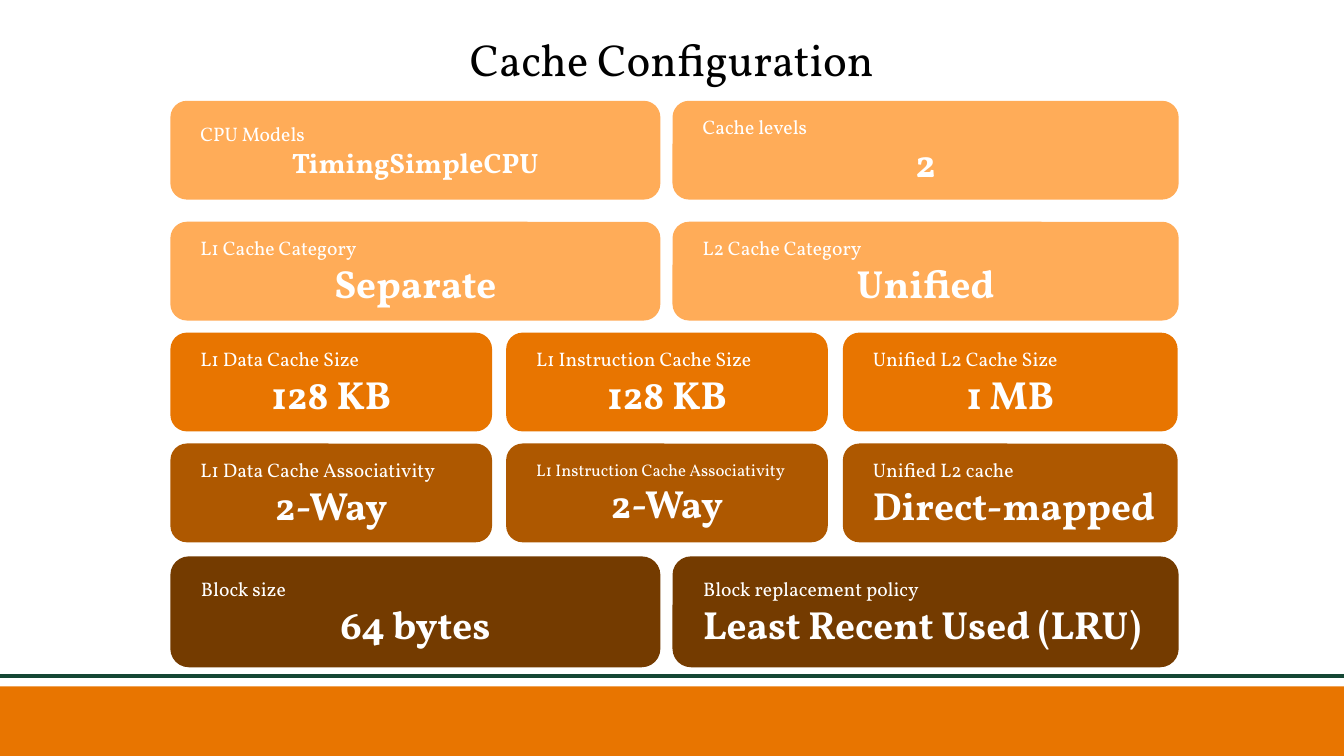
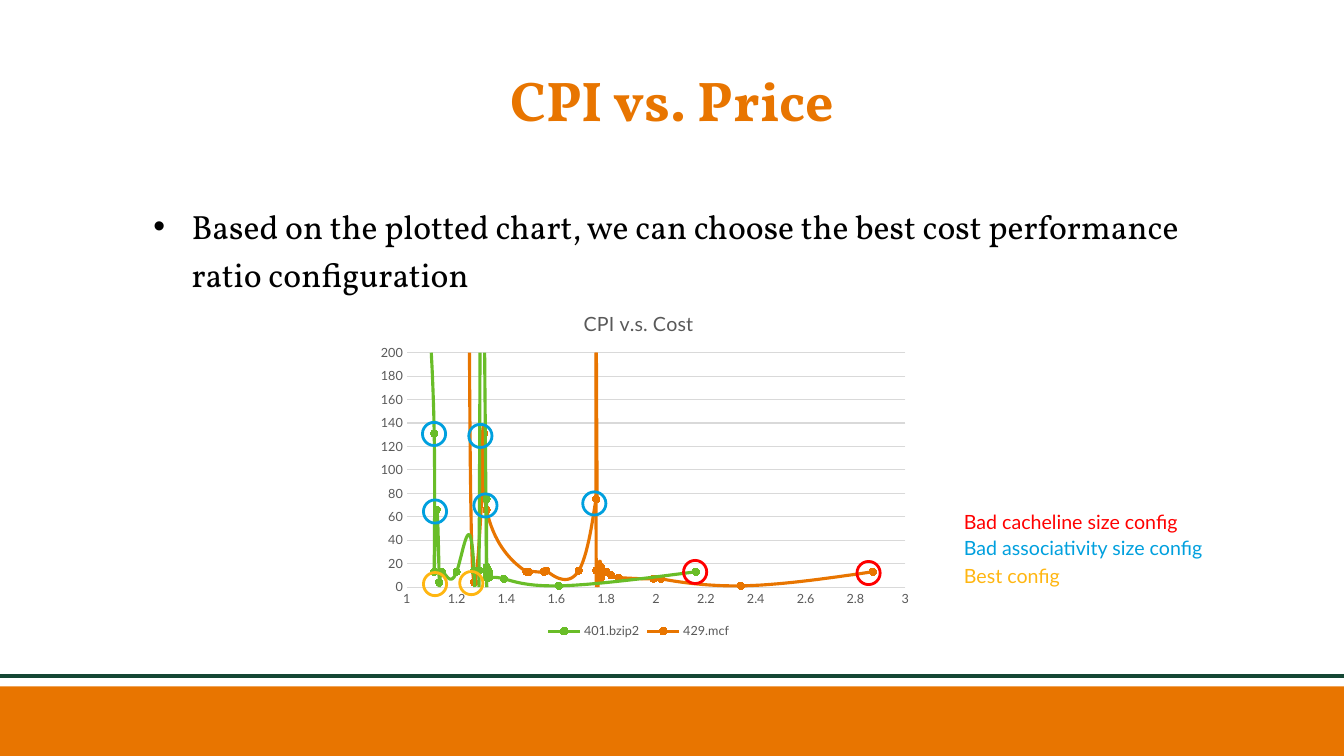
from pptx import Presentation
from pptx.chart.data import XyChartData
from pptx.dml.color import RGBColor
from pptx.enum.chart import XL_CHART_TYPE, XL_LEGEND_POSITION, XL_MARKER_STYLE, XL_TICK_MARK
from pptx.enum.shapes import MSO_CONNECTOR, MSO_SHAPE
from pptx.enum.text import MSO_ANCHOR, MSO_AUTO_SIZE, PP_ALIGN
from pptx.oxml import parse_xml
from pptx.oxml.ns import nsdecls
from pptx.util import Inches, Pt

LEFT, CENTER = PP_ALIGN.LEFT, PP_ALIGN.CENTER
TOP, MIDDLE = MSO_ANCHOR.TOP, MSO_ANCHOR.MIDDLE
NO_AUTOFIT = MSO_AUTO_SIZE.NONE
RECTANGLE, ROUNDED, OVAL = MSO_SHAPE.RECTANGLE, MSO_SHAPE.ROUNDED_RECTANGLE, MSO_SHAPE.OVAL
STRAIGHT = MSO_CONNECTOR.STRAIGHT
SMOOTH_SCATTER = XL_CHART_TYPE.XY_SCATTER_SMOOTH
LEGEND_BOTTOM = XL_LEGEND_POSITION.BOTTOM
CIRCLE_MARKER = XL_MARKER_STYLE.CIRCLE
NO_TICK = XL_TICK_MARK.NONE

BLACK = RGBColor(0x00, 0x00, 0x00)
WHITE = RGBColor(0xFF, 0xFF, 0xFF)
ORANGE = RGBColor(0xE8, 0x75, 0x00)
PEACH = RGBColor(0xFF, 0xAC, 0x58)
RUST = RGBColor(0xAE, 0x58, 0x00)
BROWN = RGBColor(0x74, 0x3B, 0x00)
DARK_GREEN = RGBColor(0x15, 0x47, 0x34)
LIME = RGBColor(0x69, 0xBD, 0x28)
RED = RGBColor(0xFF, 0x00, 0x00)
BLUE = RGBColor(0x00, 0xA0, 0xDE)
GOLD = RGBColor(0xFF, 0xB6, 0x11)
GRAY = RGBColor(0x59, 0x59, 0x59)
LIGHT_GRAY = RGBColor(0xD9, 0xD9, 0xD9)

SERIF, SANS = "Vollkorn", "Lato"

HALVES = [(1.69, 4.86), (6.67, 5.02)]
THIRDS = [(1.69, 3.19), (5.02, 3.19), (8.36, 3.32)]
CARD_ROWS = [
    (1, 0.98, PEACH, HALVES, [
        ("CPU Models", "TimingSimpleCPU", {"value_size": 20}),
        ("Cache levels", "2", {})]),
    (2.2, 0.98, PEACH, HALVES, [
        ("L1 Cache Category", "Separate", {}),
        ("L2 Cache Category", "Unified", {})]),
    (3.3, 0.98, ORANGE, THIRDS, [
        ("L1 Data Cache Size", "128 KB", {}),
        ("L1 Instruction Cache Size", "128 KB", {}),
        ("Unified L2 Cache Size", "1 MB", {})]),
    (4.4, 0.98, RUST, THIRDS, [
        ("L1 Data Cache Associativity", "2-Way", {}),
        ("L1 Instruction Cache Associativity", "2-Way", {"label_size": 12}),
        ("Unified L2 cache", "Direct-mapped", {})]),
    (5.52, 1.1, BROWN, HALVES, [
        ("Block size", "64 bytes", {}),
        ("Block replacement policy", "Least Recent Used (LRU)", {"align": LEFT})]),
]

BENCHMARKS = [
    ("401.bzip2", LIME,
     [1.08, 1.11, 1.11, 1.12, 1.13, 1.14, 1.2, 1.27, 1.29] + [1.31] * 3
     + [1.32] * 14 + [1.33] * 3 + [1.39, 1.39, 1.61, 2.16],
     [261, 131, 13, 66, 4, 13, 13, 14, 14, 996, 505, 259, 14, 13, 14, 15, 17, 75,
      13, 13, 13, 13, 13, 13, 10, 8, 13, 10, 8, 7, 7, 1, 13]),
    ("429.mcf", ORANGE,
     [1.25, 1.27, 1.31, 1.32, 1.48, 1.49, 1.55, 1.56, 1.69] + [1.76] * 5 + [1.77]
     + [1.78] * 11 + [1.8, 1.82, 1.85, 1.99, 2.02, 2.34, 2.87],
     [261, 4, 131, 66, 13, 13, 13, 14, 14, 75, 259, 996, 505, 14, 13, 14, 15, 17,
      13, 13, 13, 13, 13, 10, 13, 8, 13, 10, 8, 7, 7, 1, 13]),
]

FINDINGS = [
    ("Bad cacheline size config", RED, 5.01, [(6.78, 5.56), (8.5, 5.57)]),
    ("Bad associativity size config", BLUE, 5.27,
     [(5.78, 4.88), (4.7, 4.9), (4.65, 4.21), (4.2, 4.96), (4.19, 4.19)]),
    ("Best config", GOLD, 5.55, [(4.2, 5.68), (4.56, 5.67)]),
]


def write(paragraph, text, *, size, color, font=SERIF, bold=False, align=LEFT, spacing=1.0):
    """Fill a paragraph with one formatted run."""
    paragraph.alignment = align
    paragraph.line_spacing = spacing
    paragraph.space_before = Pt(0)
    run = paragraph.add_run()
    run.text = text
    run.font.size = Pt(size)
    run.font.name = font
    run.font.bold = bold
    run.font.color.rgb = color


def set_frame(frame, *, inset=0, anchor=TOP, wrap=True):
    """Set insets, anchor and wrapping of a text frame."""
    frame.margin_left = frame.margin_right = Inches(inset)
    frame.margin_top = frame.margin_bottom = Inches(inset)
    frame.vertical_anchor = anchor
    frame.auto_size = NO_AUTOFIT
    frame.word_wrap = wrap


def place(shape, left, top, width, height):
    """Move and size a shape in inches."""
    shape.left, shape.top = Inches(left), Inches(top)
    shape.width, shape.height = Inches(width), Inches(height)


class Deck:
    """Presentation style together with the current slide."""

    def __init__(self):
        """Start an empty widescreen presentation."""
        self.presentation = Presentation()
        self.presentation.slide_width = Inches(13.33)
        self.presentation.slide_height = Inches(7.5)
        self.slide = None

    def new_slide(self, layout):
        """Add a slide with the footer band and rule."""
        self.slide = self.presentation.slides.add_slide(
            self.presentation.slide_layouts[layout])
        self.shape(RECTANGLE, 0, 6.81, 13.33, 0.69, fill=ORANGE)
        rule = self.slide.shapes.add_connector(
            STRAIGHT, 0, Inches(6.71), Inches(13.33), Inches(6.71))
        rule.line.color.rgb = DARK_GREEN
        rule.line.width = Pt(3)
        rule.element.spPr.append(parse_xml(f"<a:effectLst {nsdecls('a')}/>"))

    def shape(self, preset, left, top, width, height, fill=None, line=None):
        """Add a flat preset shape."""
        shape = self.slide.shapes.add_shape(
            preset, Inches(left), Inches(top), Inches(width), Inches(height))
        shape.shadow.inherit = False
        if fill is None:
            shape.fill.background()
        else:
            shape.fill.solid()
            shape.fill.fore_color.rgb = fill
        if line is None:
            shape.line.fill.background()
        else:
            shape.line.color.rgb = line
            shape.line.width = Pt(2)
        return shape

    def title(self, text, box, **style):
        """Fill the title placeholder."""
        title = self.slide.shapes.title
        place(title, *box)
        set_frame(title.text_frame, anchor=MIDDLE)
        write(title.text_frame.paragraphs[0], text, align=CENTER, **style)

    def bullet(self, text, box):
        """Fill the body placeholder with one bullet."""
        body = self.slide.placeholders[1]
        place(body, *box)
        set_frame(body.text_frame)
        paragraph = body.text_frame.paragraphs[0]
        properties = paragraph._p.get_or_add_pPr()
        properties.set("marL", str(Inches(0.38)))
        properties.set("indent", str(-Inches(0.38)))
        properties.append(parse_xml(f'<a:buChar {nsdecls("a")} char="•"/>'))
        write(paragraph, text, size=24, color=BLACK, spacing=1.2)

    def card(self, label, value, box, fill, label_size=14, value_size=28, align=CENTER):
        """Add a rounded card with a small label over a bold value."""
        frame = self.shape(ROUNDED, *box, fill=fill).text_frame
        set_frame(frame, inset=0.25, anchor=MIDDLE, wrap=False)
        write(frame.paragraphs[0], label, size=label_size, color=WHITE)
        write(frame.add_paragraph(), value, size=value_size, color=WHITE, bold=True, align=align)

    def note(self, text, color, left, top):
        """Add a one-line coloured key entry."""
        note = self.slide.shapes.add_textbox(
            Inches(left), Inches(top), Inches(2.87), Inches(0.26))
        set_frame(note.text_frame)
        write(note.text_frame.paragraphs[0], text, size=14, color=color, font=SANS, spacing=1.2)

    def axis(self, axis, low, high, step):
        """Scale and style a chart axis."""
        axis.minimum_scale, axis.maximum_scale, axis.major_unit = low, high, step
        axis.major_tick_mark = axis.minor_tick_mark = NO_TICK
        axis.has_major_gridlines = False
        axis.tick_labels.number_format = "General"
        axis.tick_labels.number_format_is_linked = False
        self.chart_font(axis.tick_labels.font)
        axis.format.line.color.rgb = LIGHT_GRAY
        axis.format.line.width = Pt(0.75)

    def chart_font(self, font, size=9):
        """Apply the chart text style."""
        font.size = Pt(size)
        font.name = SANS
        font.bold = False
        font.color.rgb = GRAY

    def scatter(self, title, benchmarks, box):
        """Add a smooth scatter chart of the benchmarks."""
        data = XyChartData()
        for name, _, costs, cycles in benchmarks:
            series = data.add_series(name)
            for cost, cycle in zip(costs, cycles):
                series.add_data_point(cost, cycle)
        chart = self.slide.shapes.add_chart(
            SMOOTH_SCATTER, *[Inches(length) for length in box], data).chart
        self.chart_font(chart.font, 10)
        chart.has_title = True
        heading = chart.chart_title.text_frame
        heading.text = title
        self.chart_font(heading.paragraphs[0].runs[0].font, 14)
        chart.has_legend = True
        chart.legend.position = LEGEND_BOTTOM
        chart.legend.include_in_layout = False
        self.chart_font(chart.legend.font)
        self.axis(chart.category_axis, 1, 3, 0.2)
        self.axis(chart.value_axis, 0, 200, 20)
        chart.value_axis.format.line.fill.background()
        chart.value_axis.has_major_gridlines = True
        grid = chart.value_axis.major_gridlines.format.line
        grid.color.rgb = LIGHT_GRAY
        grid.width = Pt(0.75)
        plot = chart.plots[0]
        plot.vary_by_categories = False
        for series, (_, color, _, _) in zip(plot.series, benchmarks):
            series.format.line.color.rgb = color
            series.format.line.width = Pt(2.25)
            series.marker.style = CIRCLE_MARKER
            series.marker.size = 5
            series.marker.format.fill.solid()
            series.marker.format.fill.fore_color.rgb = color
            series.marker.format.line.color.rgb = color
            smooth = series._element.get_or_add_smooth()
            smooth.val = True
        self.plot_area(chart, x=0.1, y=0.17, w=0.86, h=0.67)

    def plot_area(self, chart, **fractions):
        """Fix the inner plot area as fractions of the chart."""
        area = chart.element.chart.plotArea
        for layout in area.xpath("c:layout"):
            area.remove(layout)
        modes = "".join(f'<c:{side}Mode val="edge"/>' for side in "xy")
        sizes = "".join(f'<c:{side} val="{part}"/>' for side, part in fractions.items())
        area.insert(0, parse_xml(
            f'<c:layout {nsdecls("c")}><c:manualLayout><c:layoutTarget val="inner"/>'
            f"{modes}{sizes}</c:manualLayout></c:layout>"))


def main():
    """Build both slides and save them."""
    deck = Deck()

    deck.new_slide(5)
    deck.title("Cache Configuration", (1.17, 0.3, 10.99, 0.57), size=32, color=BLACK)
    for top, height, fill, columns, cards in CARD_ROWS:
        for (left, width), (label, value, style) in zip(columns, cards):
            deck.card(label, value, (left, top, width, height), fill, **style)

    deck.new_slide(1)
    deck.title("CPI vs. Price", (1, 0.54, 11.33, 1), size=40, color=ORANGE,
               bold=True, spacing=0.85)
    deck.bullet("Based on the plotted chart, we can choose the best cost performance "
                "ratio configuration", (1.52, 1.96, 10.63, 0.76))
    deck.scatter("CPI v.s. Cost", BENCHMARKS, (3.46, 2.91, 5.75, 3.47))
    for finding, color, top, rings in FINDINGS:
        deck.note(finding, color, 9.56, top)
        for left, ring_top in rings:
            deck.shape(OVAL, left, ring_top, 0.23, 0.23, line=color)

    deck.presentation.save("out.pptx")


if __name__ == "__main__":
    main()
